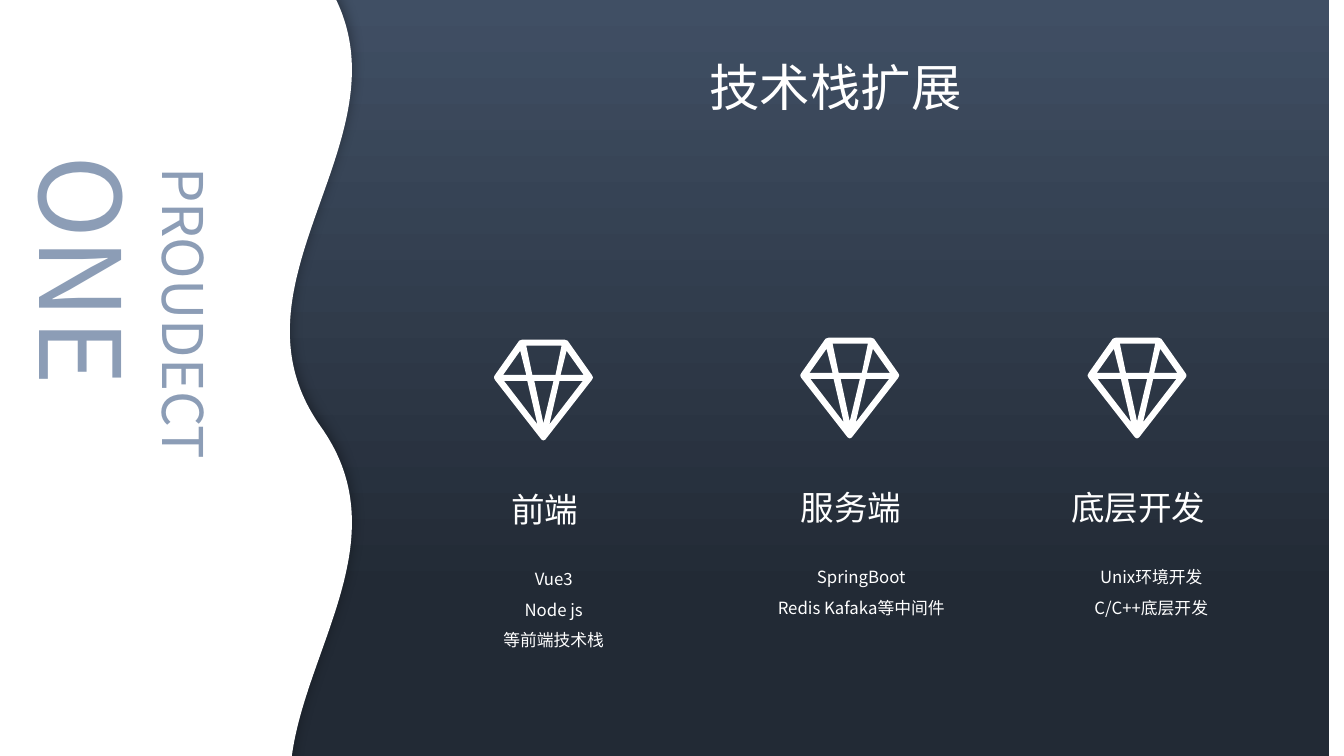
from dataclasses import dataclass

from lxml.etree import SubElement
from pptx import Presentation
from pptx.dml.color import RGBColor
from pptx.enum.shapes import MSO_SHAPE
from pptx.enum.text import MSO_AUTO_SIZE, PP_ALIGN
from pptx.oxml.ns import qn
from pptx.util import Cm, Pt

# Content
HEADING = "技术栈扩展"
SIDE_WORDS = [  # word, size role, left, top, width, height in cm
    ("PROUDECT", "side_small", 3.4, 3.96, 3.07, 10.69),
    ("ONE", "side_large", 0, 3.66, 5.64, 11),
]
STACKS = [  # name, details, diamond left, diamond top, details left in cm
    ("前端", ["Vue3", "Node js", "等前端技术栈"], 12.45, 8.56, 10.87),
    ("服务端", ["SpringBoot", "Redis Kafaka等中间件"], 20.17, 8.51, 18.62),
    ("底层开发", ["Unix环境开发", "C/C++底层开发"], 27.41, 8.51, 25.93),
]

# Diamond in a grid 98 units wide and 100 high
DIAMOND_WIDTH = 98
DIAMOND_UNIT = Cm(0.0254)
LEFT_EDGE = [(49, 100), (47, 99), (1, 40), (0, 38), (0, 37), (1, 35), (25, 1), (28, 0)]
TOP_FACET = [(67, 6), (61, 35), (38, 35), (32, 6)]
BOTTOM_FACET = [(49, 83), (40, 41), (59, 41)]
LEFT_FACETS = [
    [(26, 11), (32, 35), (9, 35)],
    [(10, 41), (33, 41), (43, 84)],
]


@dataclass(frozen=True)
class Theme:
    white = RGBColor(0xFF, 0xFF, 0xFF)
    mist = RGBColor(0x8C, 0x9D, 0xB6)
    slate = RGBColor(0x40, 0x4F, 0x64)
    night = RGBColor(0x22, 0x2A, 0x35)
    font = "Noto Sans CJK SC"
    side_font = "Noto Sans CJK JP"
    heading = Pt(36)
    name = Pt(24)
    details = Pt(12)
    side_small = Pt(40)
    side_large = Pt(80)


theme = Theme()

deck = Presentation()
deck.slide_width, deck.slide_height = Cm(33.87), Cm(19.05)
slide = deck.slides.add_slide(deck.slide_layouts[6])


def add_text(lines, size, left, top, width, height, color=theme.white,
             font=theme.font, align=PP_ALIGN.CENTER, spacing=None):
    box = slide.shapes.add_textbox(Cm(left), Cm(top), Cm(width), Cm(height))
    frame = box.text_frame
    frame.word_wrap = True
    frame.auto_size = MSO_AUTO_SIZE.SHAPE_TO_FIT_TEXT
    for index, line in enumerate(lines):
        paragraph = frame.add_paragraph() if index else frame.paragraphs[0]
        paragraph.alignment = align
        paragraph.line_spacing = spacing
        run = paragraph.add_run()
        run.text = line
        run.font.size = size
        run.font.name = font
        run.font.color.rgb = color
        SubElement(run.font._element, qn("a:ea"), typeface=font)
    return box


def mirror(points):
    return [(DIAMOND_WIDTH - x, y) for x, y in reversed(points)]


def add_diamond(left, top):
    outline = LEFT_EDGE + mirror(LEFT_EDGE)[:-1]
    facets = [TOP_FACET, BOTTOM_FACET, *LEFT_FACETS, *map(mirror, LEFT_FACETS)]
    builder = slide.shapes.build_freeform(*outline[0], scale=1 / DIAMOND_UNIT * DIAMOND_UNIT ** 2)
    builder.add_line_segments(outline[1:], close=True)
    for facet in facets:
        builder.move_to(*facet[0])
        builder.add_line_segments(facet[1:], close=True)
    diamond = builder.convert_to_shape(Cm(left), Cm(top))
    diamond.shadow.inherit = False
    diamond.fill.solid()
    diamond.fill.fore_color.rgb = theme.white
    diamond.line.fill.background()


# Gradient backdrop
backdrop = slide.shapes.add_shape(
    MSO_SHAPE.RECTANGLE, Cm(-0.97), Cm(0), Cm(34.47), deck.slide_height)
backdrop.shadow.inherit = False
backdrop.line.fill.background()
backdrop.fill.gradient()
backdrop.fill.gradient_angle = 270
for stop, (position, color) in zip(
        backdrop.fill.gradient_stops, [(0, theme.slate), (0.79, theme.night)]):
    stop.position = position
    stop.color.rgb = color

# White wave with a soft shadow
wave = slide.shapes.add_shape(
    MSO_SHAPE.DOUBLE_WAVE, Cm(-8.31), Cm(4.95), Cm(22.81), Cm(11.61))
wave.rotation = 270
wave.adjustments[0], wave.adjustments[1] = 0.07, 0
wave.fill.solid()
wave.fill.fore_color.rgb = theme.white
wave.line.fill.background()
wave.shadow.inherit = False
effects = wave.element.spPr.find(qn("a:effectLst"))
shadow = SubElement(effects, qn("a:outerShdw"), blurRad=str(Pt(10)), dist=str(Pt(3)),
                    dir="16200000", algn="b", rotWithShape="0")
shade = SubElement(shadow, qn("a:srgbClr"), val="000000")
SubElement(shade, qn("a:alpha"), val="38000")

# Vertical side words
for word, role, *place in SIDE_WORDS:
    side = add_text([word], getattr(theme, role), *place, color=theme.mist,
                    font=theme.side_font, align=PP_ALIGN.JUSTIFY, spacing=1.5)
    side.element.find(".//" + qn("a:bodyPr")).set("vert", "eaVert")

# Technology columns
for name, details, left, top, details_left in STACKS:
    add_diamond(left, top)
    add_text(details, theme.details, details_left, top + 5.4, 6.17,
             0.18 + 0.76 * len(details), spacing=1.5)
    add_text([name], theme.name, left - 1.57, top + 3.63, 5.69, 1.27)

# Heading
add_text([HEADING], theme.heading, 11.25, 1.3, 19.61, 1.8)

deck.save("out.pptx")
